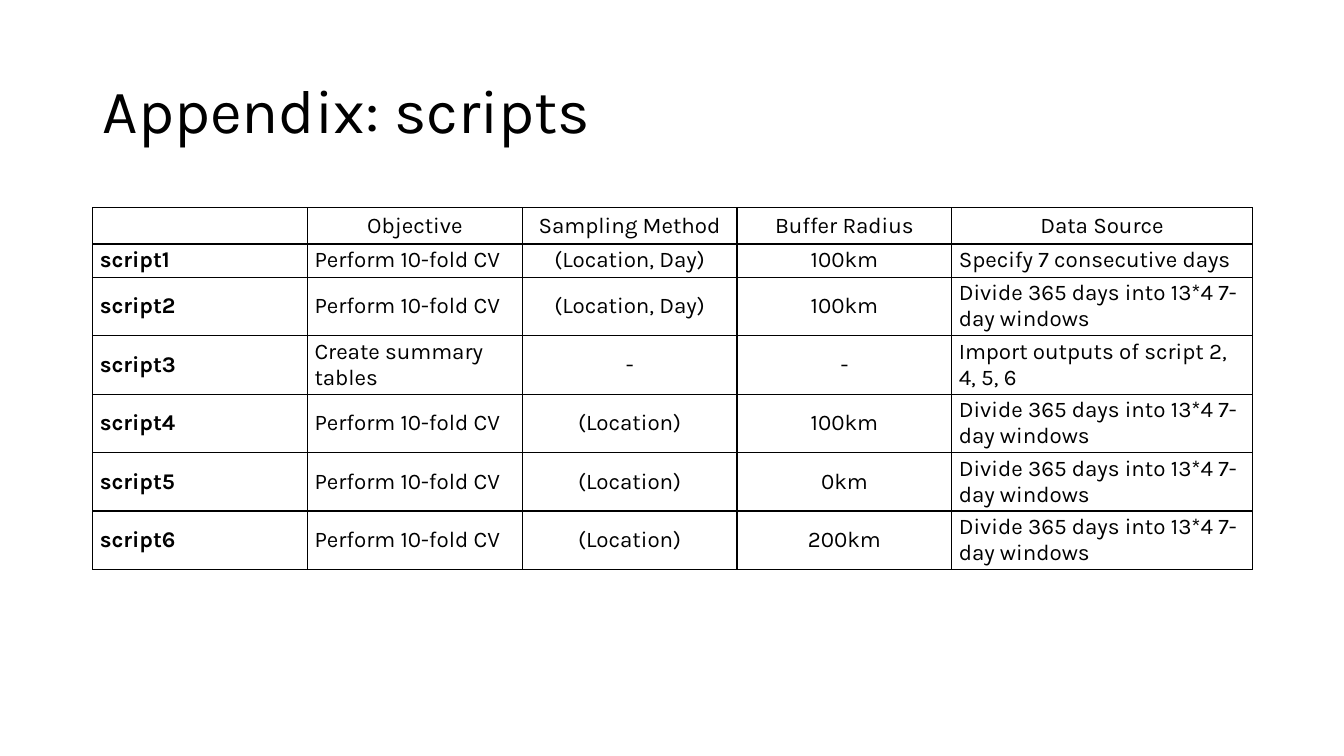
import pptx
import pptx.dml.color
import pptx.enum.text
import pptx.oxml
import pptx.oxml.ns
import pptx.util

PX = 9144  # EMU per px, at 100 px to the inch
FONT = "Karla"
COLORS = {"background": "FFFFFF", "text": "000000", "border": "000000"}
LEFT = pptx.enum.text.PP_ALIGN.LEFT
CENTER = pptx.enum.text.PP_ALIGN.CENTER
MIDDLE = pptx.enum.text.MSO_ANCHOR.MIDDLE
TOP = pptx.enum.text.MSO_ANCHOR.TOP

COLUMN_WIDTHS = [213, 213, 213, 213, 298]
COLUMN_ALIGNS = [LEFT, LEFT, CENTER, CENTER, LEFT]
ROW_HEIGHTS = [36, 33] + [58] * 5
WINDOWS = "Divide 365 days into 13*4 7-day windows"
CV = "Perform 10-fold CV"
ROWS = [
    ("", "Objective", "Sampling Method", "Buffer Radius", "Data Source"),
    ("script1", CV, "(Location, Day)", "100km", "Specify 7 consecutive days"),
    ("script2", CV, "(Location, Day)", "100km", WINDOWS),
    ("script3", "Create summary tables", "-", "-", "Import outputs of script 2, 4, 5, 6"),
    ("script4", CV, "(Location)", "100km", WINDOWS),
    ("script5", CV, "(Location)", "0km", WINDOWS),
    ("script6", CV, "(Location)", "200km", WINDOWS),
]


def px(n):
    return pptx.util.Emu(n * PX)


def rgb(name):
    return pptx.dml.color.RGBColor.from_string(COLORS[name])


def format_paragraph(p, size, align, bold=False):
    p.alignment = align
    p.font.name = FONT
    p.font.size = pptx.util.Pt(size)
    p.font.bold = bold
    p.font.color.rgb = rgb("text")


def set_borders(cell):
    tcPr = cell._tc.get_or_add_tcPr()
    for i, side in enumerate(("lnL", "lnR", "lnT", "lnB")):
        tcPr.insert(i, pptx.oxml.parse_xml(
            f'<a:{side} {pptx.oxml.ns.nsdecls("a")} w="12700"><a:solidFill>'
            f'<a:srgbClr val="{COLORS["border"]}"/></a:solidFill></a:{side}>'))


def add_title(slide, x, y, w, h):
    sp = slide.shapes.title
    sp.left, sp.top, sp.width, sp.height = px(x), px(y), px(w), px(h)
    tf = sp.text_frame
    tf.text = "Appendix: scripts"
    tf.word_wrap = True
    tf.vertical_anchor = MIDDLE
    p = tf.paragraphs[0]
    format_paragraph(p, 44, LEFT)
    p.line_spacing = 0.9


def fill_cell(cell, text, align, bold):
    cell.fill.background()
    cell.margin_left = cell.margin_right = px(7)
    cell.margin_top = cell.margin_bottom = px(3)
    cell.vertical_anchor = MIDDLE
    cell.text = text
    format_paragraph(cell.text_frame.paragraphs[0], 16, align, bold)
    set_borders(cell)


def add_script_table(slide, x, y, w, h):
    table = slide.shapes.add_table(
        len(ROWS), len(COLUMN_WIDTHS), px(x), px(y), px(w), px(h)).table
    table.first_row = table.horz_banding = False
    for column, width in zip(table.columns, COLUMN_WIDTHS):
        column.width = px(width)
    for row, height in zip(table.rows, ROW_HEIGHTS):
        row.height = px(height)
    for r, texts in enumerate(ROWS):
        for c, text in enumerate(texts):
            align = CENTER if r == 0 else COLUMN_ALIGNS[c]
            fill_cell(table.cell(r, c), text, align, bold=c == 0)
    # The last heading keeps the default vertical margins
    heading = table.cell(0, len(COLUMN_WIDTHS) - 1)
    heading.margin_top = heading.margin_bottom = px(5)
    heading.vertical_anchor = TOP


def main():
    prs = pptx.Presentation()
    prs.slide_width, prs.slide_height = px(1333), px(750)
    slide = prs.slides.add_slide(prs.slide_layouts[5])
    slide.background.fill.solid()
    slide.background.fill.fore_color.rgb = rgb("background")
    add_title(slide, 92, 40, 1150, 145)
    add_script_table(slide, 92, 206, sum(COLUMN_WIDTHS), sum(ROW_HEIGHTS))
    prs.save("out.pptx")


if __name__ == "__main__":
    main()
